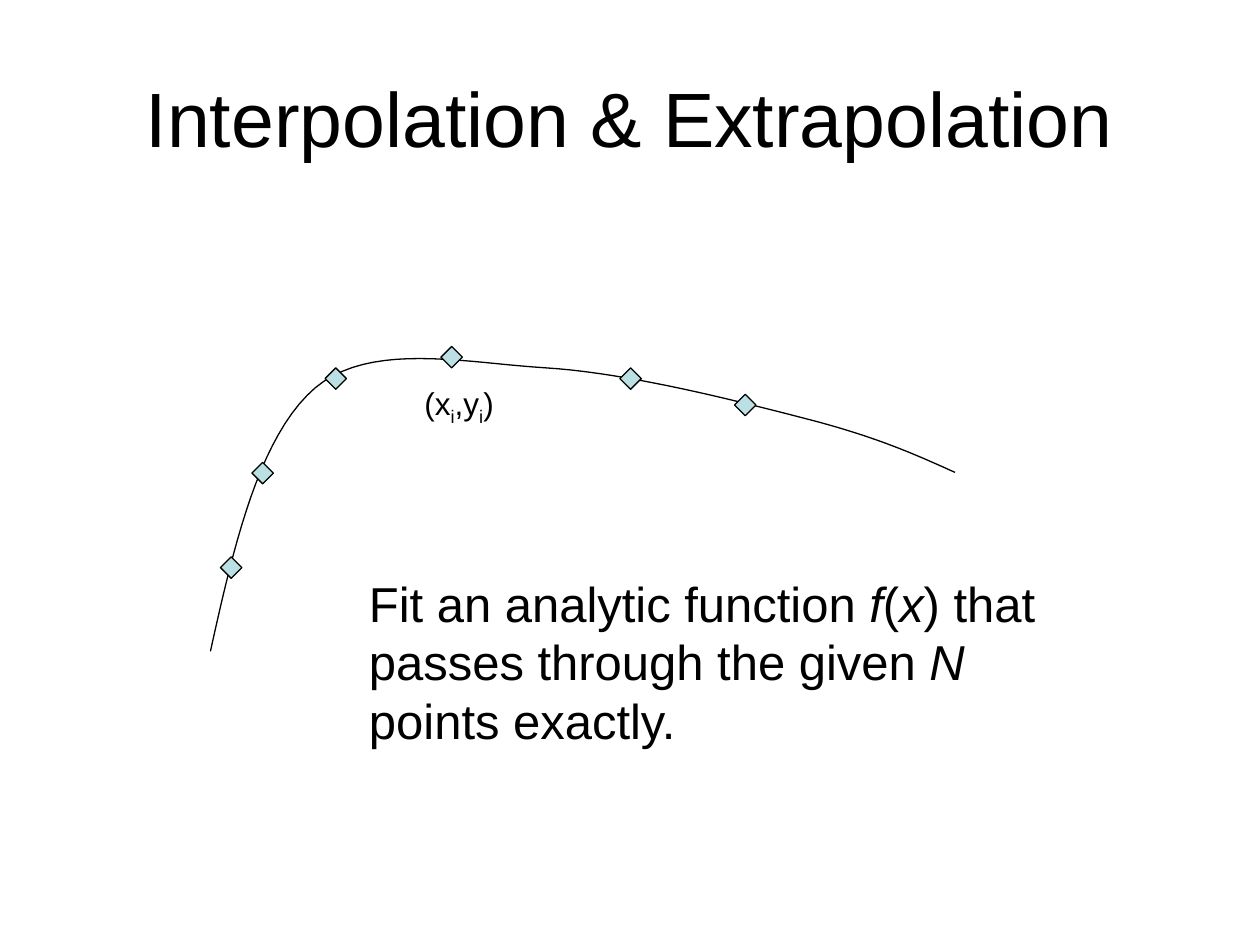
from pptx import Presentation
from pptx.dml.color import RGBColor
from pptx.enum.shapes import MSO_SHAPE
from pptx.enum.text import MSO_ANCHOR, PP_ALIGN
from pptx.util import Inches, Pt

BLACK = RGBColor(0x00, 0x00, 0x00)
PALE_TEAL = RGBColor(0xBB, 0xE0, 0xE3)
FONT = "Arial"
MARKER = 0.17
STEPS = 20

CURVE_START = (1.67, 5.17)
CURVE_SEGMENTS = [
    ((1.86, 4.31), (2.06, 3.46), (2.5, 3.08)),
    ((2.94, 2.71), (3.68, 2.88), (4.33, 2.92)),
    ((4.99, 2.96), (5.88, 3.19), (6.42, 3.33)),
    ((6.96, 3.47), (7.27, 3.61), (7.58, 3.75)),
]
MARKERS = [(1.75, 4.42), (2, 3.67), (2.58, 2.92),
           (3.5, 2.75), (4.92, 2.92), (5.83, 3.13)]


def add_text(s, box, runs, size, align=PP_ALIGN.LEFT, anchor=MSO_ANCHOR.TOP):
    """Place one paragraph of (text, style) runs in the box."""
    tf = s.shapes.add_textbox(*map(Inches, box)).text_frame
    tf.word_wrap = True
    tf.vertical_anchor = anchor
    p = tf.paragraphs[0]
    p.alignment = align
    for text, style in runs:
        r = p.add_run()
        r.text = text
        r.font.name = FONT
        r.font.size = Pt(size)
        r.font.color.rgb = BLACK
        if style == "italic":
            r.font.italic = True
        elif style == "sub":
            r._r.get_or_add_rPr().set("baseline", "-25000")


def outline(sp):
    """Give a shape a thin black line and no shadow."""
    sp.shadow.inherit = False
    sp.line.color.rgb = BLACK
    sp.line.width = Pt(0.75)


def bezier_point(points, t):
    """Return the point at t on a cubic Bezier segment."""
    u = 1 - t
    weights = (u ** 3, 3 * u * u * t, 3 * u * t * t, t ** 3)
    return tuple(sum(w * c for w, c in zip(weights, axis))
                 for axis in zip(*points))


def add_curve(s, start, segments):
    """Draw an open smooth curve through the Bezier segments."""
    points, here = [], start
    for segment in segments:
        points += [bezier_point((here, *segment), i / STEPS)
                   for i in range(1, STEPS + 1)]
        here = segment[-1]
    builder = s.shapes.build_freeform(*map(Inches, start))
    builder.add_line_segments([(Inches(x), Inches(y)) for x, y in points],
                              close=False)
    sp = builder.convert_to_shape()
    sp.fill.background()
    outline(sp)


def add_markers(s, corners, size):
    """Draw a diamond at each data point."""
    for x, y in corners:
        sp = s.shapes.add_shape(MSO_SHAPE.DIAMOND,
                                *map(Inches, (x, y, size, size)))
        sp.fill.solid()
        sp.fill.fore_color.rgb = PALE_TEAL
        outline(sp)


def main():
    """Build and save the slide."""
    prs = Presentation()
    prs.slide_width, prs.slide_height = Inches(10), Inches(7.5)
    s = prs.slides.add_slide(prs.slide_layouts[6])
    add_text(s, (0.5, 0.3, 9, 1.25), [("Interpolation & Extrapolation", "")],
             44, PP_ALIGN.CENTER, MSO_ANCHOR.MIDDLE)
    add_curve(s, CURVE_START, CURVE_SEGMENTS)
    add_markers(s, MARKERS, MARKER)
    add_text(s, (3.27, 3, 0.89, 0.4),
             [("(x", ""), ("i", "sub"), (",y", ""), ("i", "sub"), (")", "")], 18)
    add_text(s, (2.83, 4.5, 5.75, 1.5),
             [("Fit an analytic function ", ""), ("f", "italic"), ("(", ""),
              ("x", "italic"), (") that passes through the given ", ""),
              ("N", "italic"), (" points exactly.", "")], 28)
    prs.save("out.pptx")


if __name__ == "__main__":
    main()
